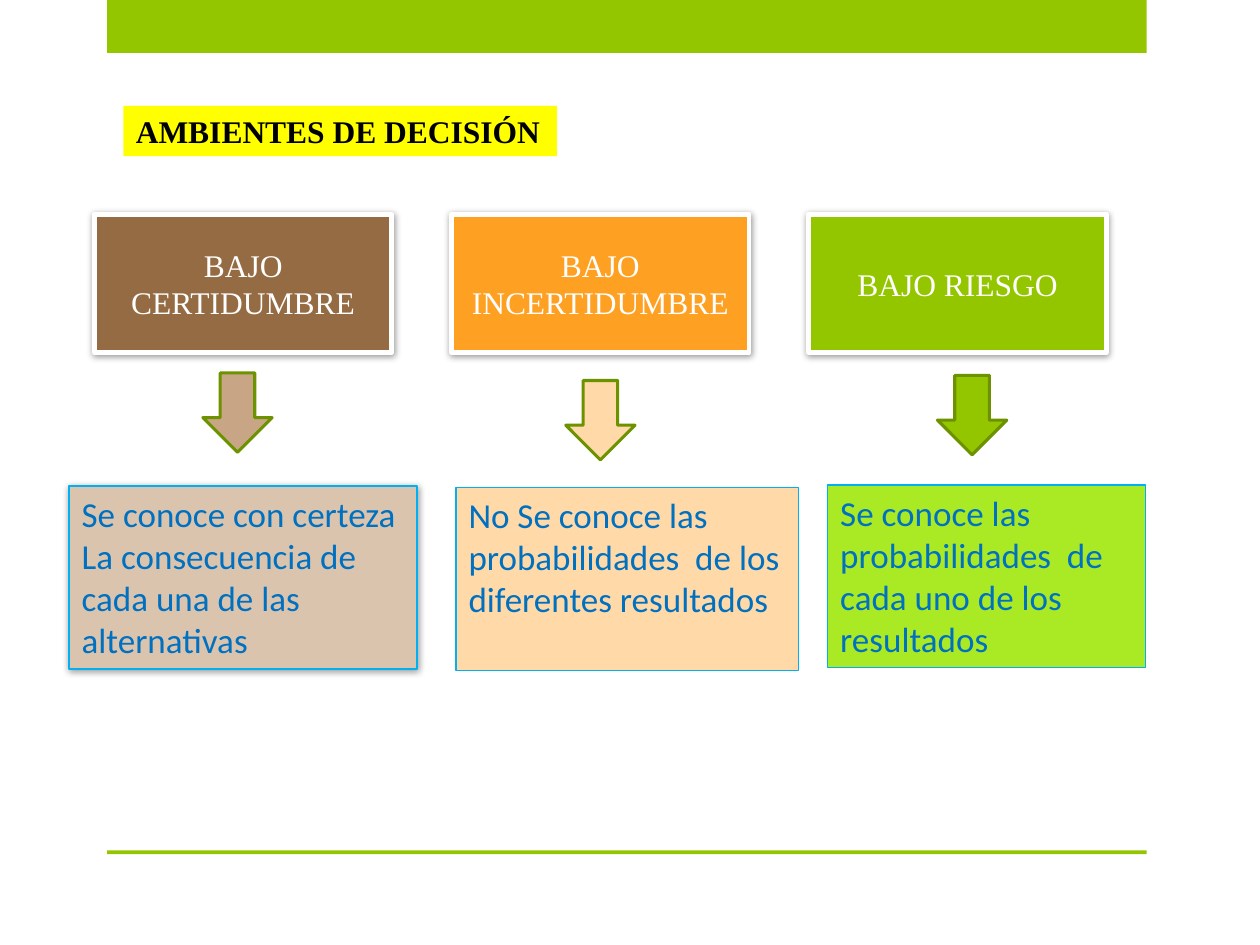
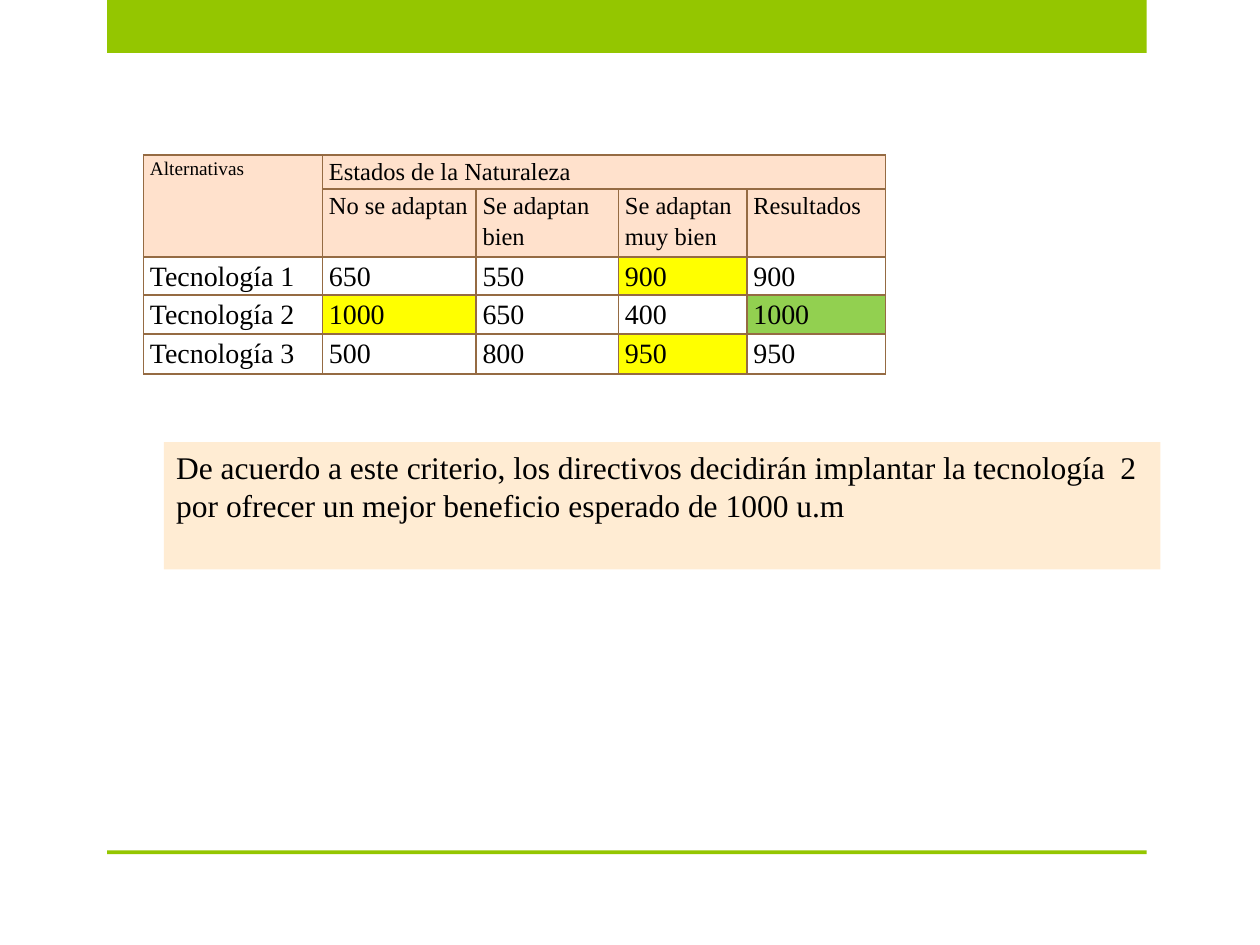
import pptx
import pptx.util
import pptx.dml.color
import pptx.enum.shapes
import pptx.enum.text
import pptx.oxml
import pptx.oxml.ns

Inches = pptx.util.Inches
Pt = pptx.util.Pt
SHAPES = pptx.enum.shapes.MSO_SHAPE
ANCHOR = pptx.enum.text.MSO_ANCHOR
ALIGN = pptx.enum.text.PP_ALIGN

COLORS = {
    "white": "FFFFFF", "black": "000000", "green": "94C600", "dark_green": "6D9200",
    "lime": "AAEA25", "result": "92D050", "yellow": "FFFF00", "brown": "956B43",
    "tan": "C8A685", "light_tan": "DBC4AE", "orange": "FEA022", "peach": "FFD9A7",
    "cream": "FFECD3", "header": "FFE1CC", "cyan": "00B0F0", "blue": "0070C0",
}
SERIF = "Times New Roman"
SANS = "Calibri"

BANDS = [(0.85, 0, 8.25, 0.42), (0.85, 6.75, 8.25, 0.03)]
TITLE = "AMBIENTES DE DECISIÓN"
ENVIRONMENTS = [
    {"name": "BAJO CERTIDUMBRE", "fill": "brown",
     "arrow": "tan", "arrow_at": (1.61, 2.96),
     "detail": ["Se conoce con certeza",
                "La consecuencia de cada una de las alternativas"],
     "detail_fill": "light_tan", "detail_at": (0.55, 3.86, 2.76, 1.45),
     "border": 1.25, "shadow": True},
    {"name": "BAJO INCERTIDUMBRE", "fill": "orange",
     "arrow": "peach", "arrow_at": (4.49, 3.02),
     "detail": ["No Se conoce las",
                "probabilidades  de los diferentes resultados"],
     "detail_fill": "peach", "detail_at": (3.62, 3.87, 2.72, 1.45),
     "border": 0.75, "shadow": False},
    {"name": "BAJO RIESGO", "fill": "green",
     "arrow": "green", "arrow_at": (7.44, 2.98),
     "detail": ["Se conoce las  probabilidades  de cada uno de los  resultados"],
     "detail_fill": "lime", "detail_at": (6.57, 3.85, 2.52, 1.45),
     "border": 0.75, "shadow": False},
]
CARD_LEFT, CARD_TOP, CARD_STEP = 0.75, 1.7, 2.835
CARD_SIZE = (2.36, 1.1)
ARROW_SIZE = (0.55, 0.63)

PAYOFFS = [
    ["Alternativas", "Estados de la Naturaleza", "", "", ""],
    ["", "No se adaptan", "Se adaptan bien", "Se adaptan muy bien", "Resultados"],
    ["Tecnología 1", "650", "550", "900", "900"],
    ["Tecnología 2", "1000", "650", "400", "1000"],
    ["Tecnología 3", "500", "800", "950", "950"],
]
HEADER_ROWS = 2
HIGHLIGHTS = {(2, 3): "yellow", (3, 1): "yellow", (4, 3): "yellow", (3, 4): "result"}
TABLE_AT = (1.14, 1.23)
COLUMN_WIDTHS = [1.42, 1.22, 1.13, 1.02, 1.1]
ROW_HEIGHTS = [0.27, 0.54, 0.3, 0.31, 0.32]
CONCLUSION = [
    "De acuerdo a este criterio, los directivos decidirán implantar la tecnología  2",
    "por ofrecer un mejor beneficio esperado de 1000 u.m",
]


def rgb(color):
    return pptx.dml.color.RGBColor.from_string(COLORS[color])


def parse_drawing(tag, content, attributes=""):
    namespace = pptx.oxml.ns.nsdecls("a")
    return pptx.oxml.parse_xml(f"<a:{tag} {namespace} {attributes}>{content}</a:{tag}>")


def add_soft_shadow(shape):
    effects = shape._element.spPr.find(pptx.oxml.ns.qn("a:effectLst"))
    color = f'<a:srgbClr val="{COLORS["black"]}"><a:alpha val="40000"/></a:srgbClr>'
    effects.append(parse_drawing(
        "outerShdw", color,
        f'blurRad="{Pt(4)}" dist="{Pt(1)}" dir="{88 * 60000}" rotWithShape="0"'))


def add_block(slide, at, fill, kind=SHAPES.RECTANGLE, border=None, shadow=False):
    shape = slide.shapes.add_shape(kind, *map(Inches, at))
    shape.shadow.inherit = False
    shape.fill.solid()
    shape.fill.fore_color.rgb = rgb(fill)
    if border:
        color, width = border
        shape.line.color.rgb = rgb(color)
        shape.line.width = Pt(width)
    else:
        shape.line.fill.background()
    if shadow:
        add_soft_shadow(shape)
    return shape


def write(text_frame, lines, size, color="black", font=SERIF, bold=False,
          align=ALIGN.LEFT, anchor=ANCHOR.TOP):
    text_frame.text = "\n".join(lines)
    text_frame.word_wrap = True
    text_frame.vertical_anchor = anchor
    for paragraph in text_frame.paragraphs:
        paragraph.alignment = align
        for run in paragraph.runs:
            run.font.name = font
            run.font.size = Pt(size)
            run.font.bold = bold
            run.font.color.rgb = rgb(color)


def add_base_slide(presentation):
    slide = presentation.slides.add_slide(presentation.slide_layouts[6])
    for band in BANDS:
        add_block(slide, band, "green")
    return slide


def build_environments(presentation):
    slide = add_base_slide(presentation)
    title = add_block(slide, (0.98, 0.84, 3.44, 0.4), "yellow")
    write(title.text_frame, [TITLE], 18, bold=True)
    for index, environment in enumerate(ENVIRONMENTS):
        card_at = (CARD_LEFT + index * CARD_STEP, CARD_TOP, *CARD_SIZE)
        card = add_block(slide, card_at, environment["fill"],
                         border=("white", 2.75), shadow=True)
        write(card.text_frame, [environment["name"]], 18, "white",
              align=ALIGN.CENTER, anchor=ANCHOR.MIDDLE)
        detail = add_block(slide, environment["detail_at"], environment["detail_fill"],
                           border=("cyan", environment["border"]),
                           shadow=environment["shadow"])
        write(detail.text_frame, environment["detail"], 20, "blue", SANS)
        add_block(slide, (*environment["arrow_at"], *ARROW_SIZE), environment["arrow"],
                  SHAPES.DOWN_ARROW, border=("dark_green", 1.75))


def set_cell_borders(cell):
    properties = cell._tc.get_or_add_tcPr()
    line = f'<a:solidFill><a:srgbClr val="{COLORS["brown"]}"/></a:solidFill>'
    for position, side in enumerate(("lnL", "lnR", "lnT", "lnB")):
        properties.insert(position, parse_drawing(side, line, f'w="{Pt(1)}"'))


def format_cell(cell, text, row, column):
    cell.margin_left = cell.margin_right = Inches(0.05)
    cell.margin_top = cell.margin_bottom = 0
    is_header = row < HEADER_ROWS
    fill = "header" if is_header else HIGHLIGHTS.get((row, column))
    if fill:
        cell.fill.solid()
        cell.fill.fore_color.rgb = rgb(fill)
    else:
        cell.fill.background()
    set_cell_borders(cell)
    if text:
        size = 11 if (row, column) == (0, 0) else 14 if is_header else 16
        write(cell.text_frame, [text], size)
        cell.text_frame.paragraphs[0].line_spacing = 1.15


def build_payoffs(presentation):
    slide = add_base_slide(presentation)
    size = (sum(COLUMN_WIDTHS), sum(ROW_HEIGHTS))
    table = slide.shapes.add_table(len(PAYOFFS), len(COLUMN_WIDTHS),
                                   *map(Inches, TABLE_AT + size)).table
    table.first_row = table.horz_banding = False
    for column, width in zip(table.columns, COLUMN_WIDTHS):
        column.width = Inches(width)
    for row, height in zip(table.rows, ROW_HEIGHTS):
        row.height = Inches(height)
    table.cell(0, 0).merge(table.cell(1, 0))
    table.cell(0, 1).merge(table.cell(0, 4))
    for row, texts in enumerate(PAYOFFS):
        for column, text in enumerate(texts):
            format_cell(table.cell(row, column), text, row, column)
    conclusion = add_block(slide, (1.3, 3.51, 7.91, 1.01), "cream")
    write(conclusion.text_frame, CONCLUSION, 18)


def main():
    presentation = pptx.Presentation()
    presentation.slide_width = Inches(10)
    presentation.slide_height = Inches(7.5)
    build_environments(presentation)
    build_payoffs(presentation)
    presentation.save("out.pptx")


if __name__ == "__main__":
    main()
